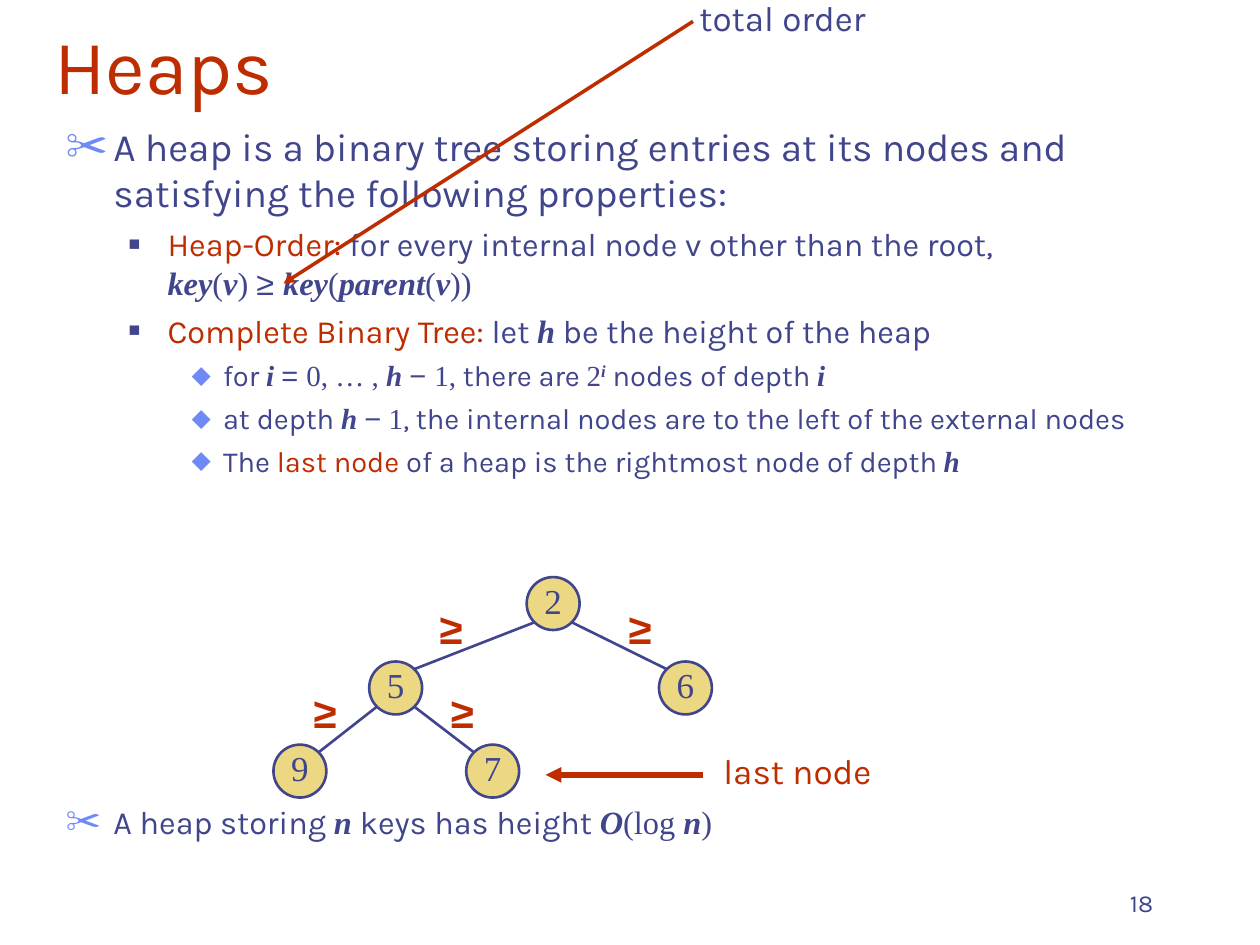
from dataclasses import dataclass

import lxml.etree
import pptx
import pptx.dml.color
import pptx.enum.shapes
import pptx.enum.text
import pptx.oxml
import pptx.oxml.ns
import pptx.util

Inches = pptx.util.Inches
Pt = pptx.util.Pt
Align = pptx.enum.text.PP_ALIGN
Anchor = pptx.enum.text.MSO_ANCHOR

INK, RED, BLUE, GOLD = "40458C", "BE2D00", "6F89F7", "ECD882"
NODE_SIZE = 0.42
EDGE_OFFSET = 0.15  # from a node's centre to its diagonal edge point


@dataclass(frozen=True)
class Style:
    font: str = "Karla"
    color: str = INK
    bold: bool = False
    italic: bool = False
    superscript: bool = False


@dataclass(frozen=True)
class Level:
    depth: int
    margin: float
    hanging: float
    bullet: str
    bullet_color: str
    bullet_percent: int


@dataclass(frozen=True)
class Item:
    level: Level
    size: float
    space_before: float
    runs: tuple


@dataclass(frozen=True)
class Node:
    key: str
    x: float  # centre
    y: float


@dataclass(frozen=True)
class Label:
    text: str
    left: float
    top: float
    width: float
    height: float
    size: float
    style: Style
    align: Align = Align.CENTER
    anchor: Anchor = Anchor.TOP
    space_before: float = 0


PLAIN, KEYWORD = Style(), Style(color=RED)
SERIF = Style("Times New Roman")
VARIABLE = Style("Times New Roman", bold=True, italic=True)
EXPONENT = Style("Times New Roman", bold=True, italic=True, superscript=True)
SYMBOL = Style("Arial")
RELATION = Style("Arial", RED, bold=True)

MAIN = Level(0, 0.38, 0.38, "✂", BLUE, 110)
PROPERTY = Level(1, 0.81, 0.31, "■", INK, 60)
DETAIL = Level(2, 1.25, 0.25, "⬥", BLUE, 95)

ITEMS = [
    Item(MAIN, 22.2, 6, (
        ("A heap is a binary tree storing entries at its nodes and "
         "satisfying the following properties:", PLAIN),)),
    Item(PROPERTY, 18.5, 5, (
        ("Heap-Order:", KEYWORD),
        (" for every internal node v other than the root,\n", PLAIN),
        ("key", VARIABLE), ("(", SERIF), ("v", VARIABLE), (") ", SERIF),
        ("≥ ", SYMBOL), ("key", VARIABLE), ("(", SERIF), ("parent", VARIABLE),
        ("(", SERIF), ("v", VARIABLE), ("))", SERIF))),
    Item(PROPERTY, 18.5, 5, (
        ("Complete Binary Tree:", KEYWORD), (" let ", PLAIN), ("h", VARIABLE),
        (" be the height of the heap", PLAIN))),
    Item(DETAIL, 16.6, 4.5, (
        ("for ", PLAIN), ("i ", VARIABLE), ("= ", SYMBOL), ("0, … , ", SERIF),
        ("h ", VARIABLE), ("− ", SYMBOL), ("1,", SERIF), (" there are ", PLAIN),
        ("2", SERIF), ("i", EXPONENT), (" nodes of depth ", PLAIN), ("i", VARIABLE))),
    Item(DETAIL, 16.6, 4.5, (
        ("at depth ", PLAIN), ("h ", VARIABLE), ("−", SYMBOL), (" 1", SERIF),
        (", the internal nodes are to the left of the external nodes", PLAIN))),
    Item(DETAIL, 16.6, 4.5, (
        ("The ", PLAIN), ("last node", KEYWORD),
        (" of a heap is the rightmost node of depth ", PLAIN), ("h", VARIABLE))),
    # The wide space leaves room for the tree
    Item(MAIN, 18.5, 185, (
        ("A heap storing ", PLAIN), ("n ", VARIABLE), ("keys has height ", PLAIN),
        ("O", VARIABLE), ("(log ", SERIF), ("n", VARIABLE), (")", SERIF))),
]

ROOT = Node("2", 4.39, 4.79)
FIVE, SIX = Node("5", 3.14, 5.46), Node("6", 5.44, 5.46)
NINE, SEVEN = Node("9", 2.38, 6.12), Node("7", 3.91, 6.12)
EDGES = [(ROOT, FIVE), (ROOT, SIX), (FIVE, NINE), (FIVE, SEVEN)]

LABELS = [
    Label("18", 7.17, 6.83, 2.08, 0.5, 14, PLAIN, Align.RIGHT, Anchor.BOTTOM),
    Label("last node", 5.63, 5.9, 1.4, 0.44, 20, KEYWORD),
    Label("total order", 5.25, -0.08, 1.92, 0.44, 20, PLAIN, space_before=12.5),
] + [
    Label("≥", left, top, 0.5, 0.5, 24, RELATION, space_before=15)
    for left, top in [(3.33, 4.73), (4.83, 4.73), (3.42, 5.4), (2.33, 5.4)]
]


def rgb(color: str) -> pptx.dml.color.RGBColor:
    return pptx.dml.color.RGBColor.from_string(color)


def add_run(paragraph, text: str, size: float, style: Style) -> None:
    run = paragraph.add_run()
    run.text = text.rstrip("\n")
    font = run.font
    font.name, font.size = style.font, Pt(size)
    font.bold, font.italic = style.bold, style.italic
    font.color.rgb = rgb(style.color)
    if style.superscript:
        run._r.get_or_add_rPr().set("baseline", "30000")
    if text.endswith("\n"):
        paragraph.add_line_break()


def set_bullet(paragraph, level: Level) -> None:
    properties = paragraph._p.get_or_add_pPr()
    properties.set("marL", str(Inches(level.margin)))
    properties.set("indent", str(-Inches(level.hanging)))
    namespace = pptx.oxml.ns.nsdecls("a")
    for xml in (
        f'<a:buClr {namespace}><a:srgbClr val="{level.bullet_color}"/></a:buClr>',
        f'<a:buSzPct {namespace} val="{level.bullet_percent * 1000}"/>',
        f'<a:buChar {namespace} char="{level.bullet}"/>',
    ):
        properties.append(pptx.oxml.parse_xml(xml))


def place(shape, left: float, top: float, width: float, height: float) -> None:
    shape.left, shape.top = Inches(left), Inches(top)
    shape.width, shape.height = Inches(width), Inches(height)


def add_item(paragraph, item: Item) -> None:
    paragraph.level = item.level.depth
    paragraph.space_before = Pt(item.space_before)
    set_bullet(paragraph, item.level)
    for text, style in item.runs:
        add_run(paragraph, text, item.size, style)


def add_label(slide, label: Label) -> None:
    box = slide.shapes.add_textbox(Inches(label.left), Inches(label.top),
                                   Inches(label.width), Inches(label.height))
    frame = box.text_frame
    frame.word_wrap, frame.vertical_anchor = True, label.anchor
    paragraph = frame.paragraphs[0]
    paragraph.alignment, paragraph.space_before = label.align, Pt(label.space_before)
    add_run(paragraph, label.text, label.size, label.style)


def add_node(slide, node: Node) -> None:
    shape = slide.shapes.add_shape(
        pptx.enum.shapes.MSO_SHAPE.OVAL, Inches(node.x - NODE_SIZE / 2),
        Inches(node.y - NODE_SIZE / 2), Inches(NODE_SIZE), Inches(NODE_SIZE))
    shape.shadow.inherit = False
    shape.fill.solid()
    shape.fill.fore_color.rgb = rgb(GOLD)
    shape.line.color.rgb, shape.line.width = rgb(INK), Pt(1.5)
    frame = shape.text_frame
    frame.word_wrap, frame.vertical_anchor = False, Anchor.MIDDLE
    frame.margin_left = frame.margin_right = frame.margin_top = 0
    frame.margin_bottom = Inches(0.05)
    frame.paragraphs[0].alignment = Align.CENTER
    add_run(frame.paragraphs[0], node.key, 20, SERIF)


def add_line(slide, start: tuple, end: tuple, color: str, width: float,
             arrow: bool = False) -> None:
    connector = slide.shapes.add_connector(
        pptx.enum.shapes.MSO_CONNECTOR.STRAIGHT, *map(Inches, start + end))
    connector.line.color.rgb, connector.line.width = rgb(color), Pt(width)
    qn = pptx.oxml.ns.qn
    if arrow:
        lxml.etree.SubElement(connector.line._get_or_add_ln(), qn("a:tailEnd"), type="triangle")
    lxml.etree.SubElement(connector._element.spPr, qn("a:effectLst"))


def add_edge(slide, parent: Node, child: Node) -> None:
    side = EDGE_OFFSET if child.x > parent.x else -EDGE_OFFSET
    add_line(slide, (parent.x + side, parent.y + EDGE_OFFSET),
             (child.x - side, child.y - EDGE_OFFSET), INK, 1.5)


def main() -> None:
    presentation = pptx.Presentation()
    presentation.slide_width, presentation.slide_height = Inches(10), Inches(7.5)
    slide = presentation.slides.add_slide(presentation.slide_layouts[1])

    # Title and list
    title, body = slide.placeholders
    place(title, 0.33, -0.33, 8.5, 1.25)
    place(body, 0.42, 0.92, 9.25, 6.25)
    for shape, anchor in ((title, Anchor.BOTTOM), (body, Anchor.TOP)):
        shape.text_frame.auto_size = pptx.enum.text.MSO_AUTO_SIZE.NONE
        shape.text_frame.vertical_anchor = anchor
    heading = title.text_frame.paragraphs[0]
    heading.alignment = Align.LEFT
    add_run(heading, "Heaps", 44, KEYWORD)
    for index, item in enumerate(ITEMS):
        frame = body.text_frame
        add_item(frame.add_paragraph() if index else frame.paragraphs[0], item)

    # Tree
    for parent, child in EDGES:
        add_edge(slide, parent, child)
    for node in (ROOT, FIVE, SIX, NINE, SEVEN):
        add_node(slide, node)

    # Labels and arrows
    for label in LABELS:
        add_label(slide, label)
    add_line(slide, (5.58, 6.15), (4.33, 6.15), RED, 3, arrow=True)
    add_line(slide, (5.5, 0.17), (2.25, 2.25), RED, 2, arrow=True)

    presentation.save("out.pptx")


if __name__ == "__main__":
    main()
